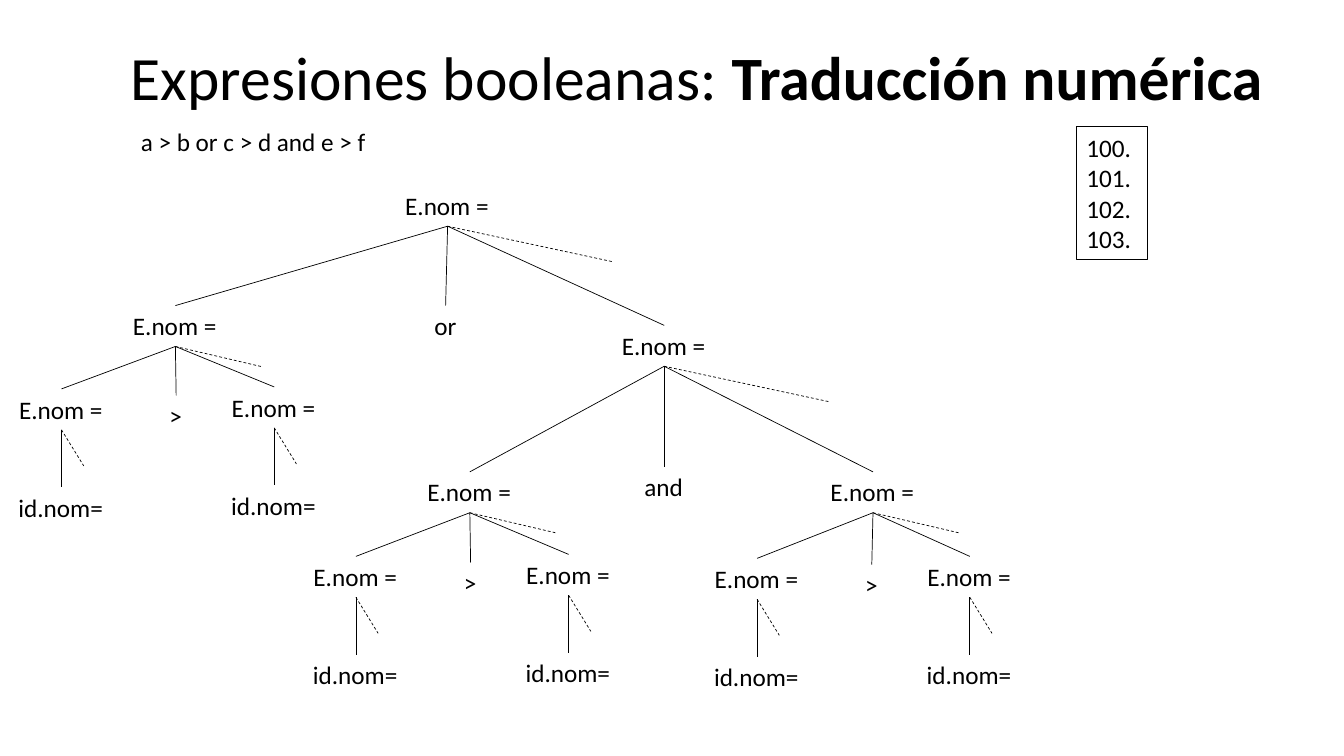
from lxml import etree
from pptx import Presentation
from pptx.dml.color import RGBColor
from pptx.enum.dml import MSO_LINE
from pptx.enum.shapes import MSO_CONNECTOR, MSO_SHAPE
from pptx.enum.text import MSO_ANCHOR, PP_ALIGN
from pptx.oxml.ns import qn
from pptx.util import Cm, Pt

STRAIGHT = MSO_CONNECTOR.STRAIGHT
DASH = MSO_LINE.DASH
RECTANGLE = MSO_SHAPE.RECTANGLE
MIDDLE = MSO_ANCHOR.MIDDLE
LEFT = PP_ALIGN.LEFT

BLACK = "000000"
FONT = "Calibri"
LABEL_HEIGHT = 1.03
WIDTHS = {"E.nom =": 2.64, "id.nom=": 2.67, "or": 1.07, "and": 1.5, ">": 0.84}

deck = Presentation()
deck.slide_width, deck.slide_height = Cm(33.87), Cm(19.05)
page = deck.slides.add_slide(deck.slide_layouts[6])


def add_label(text, center, top):
    """Add a tree label centred on a point and return its bottom centre."""
    width = WIDTHS[text]
    box = page.shapes.add_textbox(Cm(center - width / 2), Cm(top), Cm(width), Cm(LABEL_HEIGHT))
    box.text_frame.text = text
    box.text_frame.word_wrap = False
    return center, top + LABEL_HEIGHT


def add_line(start, end, dashed=False):
    line = page.shapes.add_connector(STRAIGHT, *(Cm(value) for value in (*start, *end)))
    line.line.color.rgb = RGBColor.from_string(BLACK)
    line.line.width = Pt(0.5)
    if dashed:
        line.line.dash_style = DASH
    etree.SubElement(line._element.spPr, qn("a:effectLst"))


# Title
title = page.shapes.add_textbox(Cm(3.05), Cm(0.18), Cm(29.21), Cm(3.68))
title.text_frame.word_wrap = True
title.text_frame.vertical_anchor = MIDDLE
title_para = title.text_frame.paragraphs[0]
title_para.line_spacing = 0.9
for text, bold in (("Expresiones booleanas: ", False), ("Traducción numérica", True)):
    span = title_para.add_run()
    span.text = text
    span.font.size = Pt(44)
    span.font.bold = bold

# Expression being translated
expression = page.shapes.add_textbox(Cm(3.3), Cm(3.07), Cm(6.27), Cm(LABEL_HEIGHT))
expression.text_frame.text = "a > b or c > d and e > f"
expression.text_frame.word_wrap = False

# Numbered code lines
code_box = page.shapes.add_shape(RECTANGLE, Cm(27.13), Cm(3.2), Cm(1.8), Cm(3.33))
code_box.shadow.inherit = False
code_box.fill.background()
code_box.line.color.rgb = RGBColor.from_string(BLACK)
code_box.line.width = Pt(0.75)
code_box.text_frame.text = "\n".join(f"{number}." for number in range(100, 104))
code_box.text_frame.word_wrap = False
code_box.text_frame.vertical_anchor = MIDDLE
for para in code_box.text_frame.paragraphs:
    para.alignment = LEFT

# Upper tree: the "or" node, then the "and" node on its right
root = (11.28, 4.67)
or_left = (4.42, 7.7)
or_right = (16.74, 8.2)
and_left = (11.84, 11.89)
and_right = (22, 11.89)
add_label("E.nom =", *root)
for parent, left, operator, operator_at, right in (
    (root, or_left, "or", (11.23, 7.7), or_right),
    (or_right, and_left, "and", (16.74, 11.76), and_right),
):
    bottom = (parent[0], parent[1] + LABEL_HEIGHT)
    add_label(operator, *operator_at)
    for child in (left, right):
        add_label("E.nom =", *child)
    for child in (left, operator_at, right):
        add_line(bottom, child)
    add_line(bottom, (bottom[0] + 4.14, bottom[1] + 0.89), dashed=True)

# Comparison subtrees: each has the same shape, slightly shifted below its parent
for (x, y), shift_x, shift_y in (
    (or_left, 0, 0),
    (and_left, 0, 0.03),
    (and_right, -0.05, 0.08),
):
    bottom = (x, y + LABEL_HEIGHT)
    for text, offset_x, offset_y in (("E.nom =", -2.87, 2.1), (">", 0.02, 2.26), ("E.nom =", 2.49, 2.05)):
        child = (x + offset_x + shift_x, y + offset_y + shift_y)
        child_bottom = add_label(text, *child)
        add_line(bottom, child)
        if text != ">":
            identifier = (child[0], child[1] + 2.48)
            add_label("id.nom=", *identifier)
            add_line(child_bottom, identifier)
            add_line(child_bottom, (child_bottom[0] + 0.56, child_bottom[1] + 0.91), dashed=True)
    add_line(bottom, (bottom[0] + 2.18, bottom[1] + 0.51), dashed=True)

# Common font
for shape in page.shapes:
    if shape.has_text_frame:
        for para in shape.text_frame.paragraphs:
            for span in para.runs:
                span.font.name = FONT
                span.font.size = span.font.size or Pt(18)
                span.font.color.rgb = RGBColor.from_string(BLACK)

deck.save("out.pptx")
